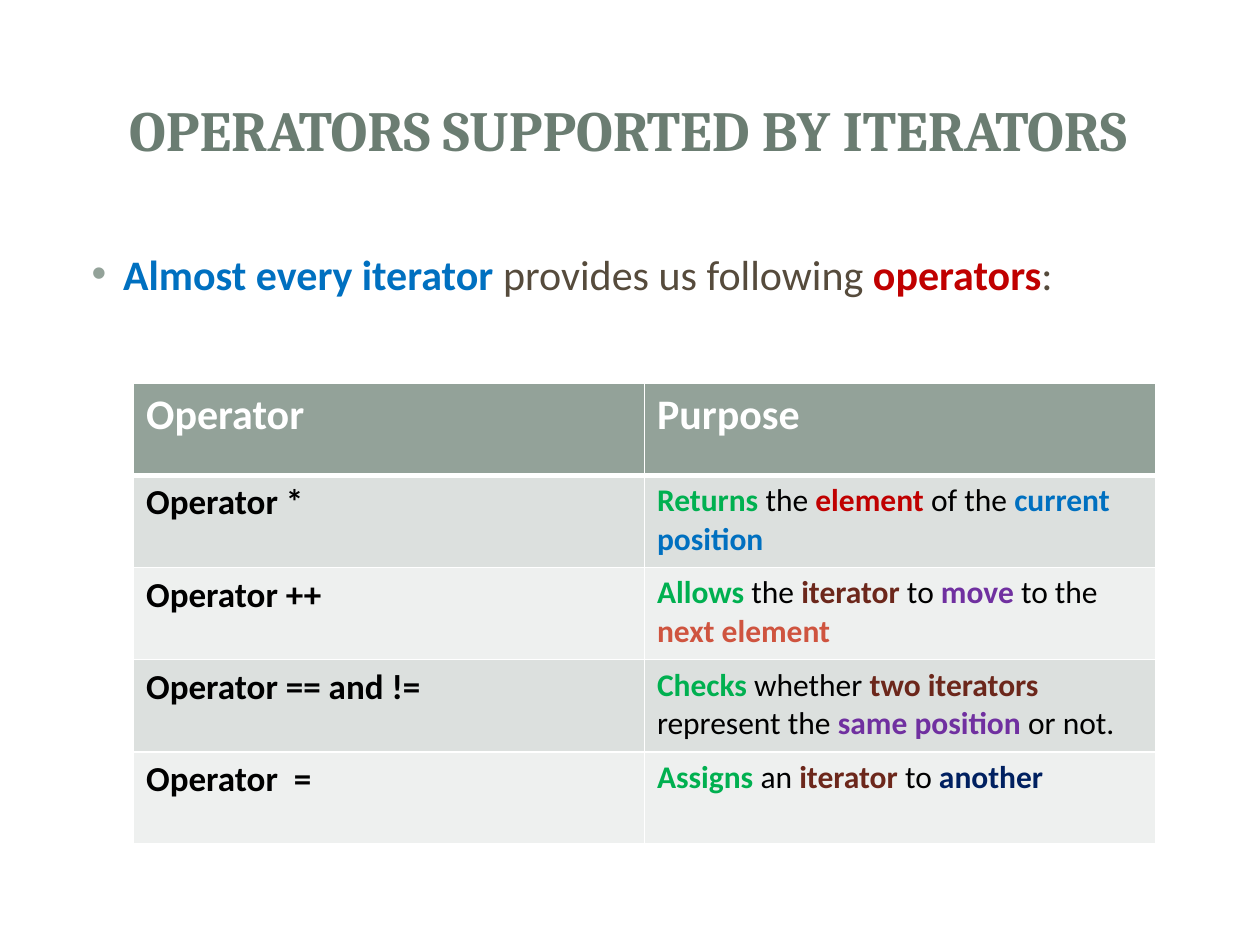
from lxml import etree
from pptx import Presentation
from pptx.dml.color import RGBColor
from pptx.enum.shapes import MSO_SHAPE
from pptx.enum.text import MSO_ANCHOR, PP_ALIGN
from pptx.oxml.ns import qn
from pptx.util import Inches, Pt

CENTER = PP_ALIGN.CENTER
MIDDLE = MSO_ANCHOR.MIDDLE
RECTANGLE = MSO_SHAPE.RECTANGLE
ROUNDED = MSO_SHAPE.ROUNDED_RECTANGLE

COLORS = {
    "title": "6B7D72", "sage": "93A299", "body": "564B3C", "white": "FFFFFF",
    "black": "000000", "blue": "0070C0", "red": "C00000", "green": "00B050",
    "brown": "6C271B", "purple": "7030A0", "coral": "CF543F", "navy": "002060",
    "dark band": "DCE0DE", "light band": "EEF0EF",
}
PLAIN = ("body", "black")

PANELS = [
    (ROUNDED, (0.1, 0.11, 9.8, 7.29), 100),
    (RECTANGLE, (0.3, 0.3, 9.4, 1.45), 83),
    (RECTANGLE, (0.41, 0.41, 9.17, 1.22), 100),
]
TITLE = [("OPERATORS SUPPORTED BY ITERATORS", "title")]
INTRO = [
    ("Almost every iterator ", "blue"), ("provides us following ", "body"),
    ("operators", "red"), (":", "body"),
]
HEADERS = ["Operator", "Purpose"]
OPERATORS = [
    ("Operator *", [
        ("Returns", "green"), (" the ", "black"), ("element", "red"),
        (" of the ", "black"), ("current position", "blue")]),
    ("Operator ++", [
        ("Allows", "green"), (" the ", "black"), ("iterator", "brown"),
        (" to ", "black"), ("move ", "purple"), ("to the ", "black"),
        ("next element", "coral")]),
    ("Operator == and !=", [
        ("Checks", "green"), (" whether ", "black"), ("two iterators ", "brown"),
        ("represent the ", "black"), ("same position ", "purple"),
        ("or not.", "black")]),
    ("Operator  =", [
        ("Assigns", "green"), (" an ", "black"), ("iterator", "brown"),
        (" to ", "black"), ("another", "navy")]),
]
TABLE_BOX = (1.06, 3.04, 8.11, 3.66)


def color(name):
    return RGBColor.from_string(COLORS[name])


def add_panel(slide, kind, box, opacity):
    panel = slide.shapes.add_shape(kind, *map(Inches, box))
    panel.shadow.inherit = False
    panel.fill.solid()
    panel.fill.fore_color.rgb = color("white")
    panel.line.fill.background()
    if kind == ROUNDED:
        panel.adjustments[0] = 0.02
    if opacity < 100:
        fill_color = panel._element.spPr.find(qn("a:solidFill"))[0]
        etree.SubElement(fill_color, qn("a:alpha"), val=str(opacity * 1000))


def add_runs(paragraph, runs, size, font="Calibri", all_bold=False):
    for text, name in runs:
        run = paragraph.add_run()
        run.text = text
        run.font.name = font
        run.font.size = Pt(size)
        run.font.bold = all_bold or name not in PLAIN
        run.font.color.rgb = color(name)


def add_text_box(slide, left, top, width, height):
    box = slide.shapes.add_textbox(*map(Inches, (left, top, width, height)))
    box.text_frame.word_wrap = True
    return box.text_frame


def add_bullet(paragraph):
    properties = paragraph._p.get_or_add_pPr()
    properties.set("marL", str(Inches(0.38)))
    properties.set("indent", str(Inches(-0.25)))
    bullet_color = etree.SubElement(properties, qn("a:buClr"))
    etree.SubElement(bullet_color, qn("a:srgbClr"), val=COLORS["sage"])
    etree.SubElement(properties, qn("a:buFont"), typeface="Arial")
    etree.SubElement(properties, qn("a:buChar"), char="•")


def style_cell(cell, row):
    widths = {"L": 1, "R": 1, "T": 3 if row == 1 else 1, "B": 3 if row == 0 else 1}
    properties = cell._tc.get_or_add_tcPr()
    for side, width in widths.items():
        line = etree.SubElement(properties, qn("a:ln" + side), w=str(Pt(width)))
        fill = etree.SubElement(line, qn("a:solidFill"))
        etree.SubElement(fill, qn("a:srgbClr"), val=COLORS["white"])
    band = "sage" if row == 0 else "dark band" if row % 2 else "light band"
    cell.fill.solid()
    cell.fill.fore_color.rgb = color(band)


def add_operator_table(slide):
    rows = [[([(header, "white")], 24) for header in HEADERS]]
    rows += [[([(operator, "black")], 20), (purpose, 18)]
             for operator, purpose in OPERATORS]
    table = slide.shapes.add_table(
        len(rows), len(HEADERS), *map(Inches, TABLE_BOX)).table
    for row, cells in enumerate(rows):
        for column, (runs, size) in enumerate(cells):
            cell = table.cell(row, column)
            style_cell(cell, row)
            add_runs(cell.text_frame.paragraphs[0], runs, size,
                     all_bold=row == 0 or column == 0)


def main():
    presentation = Presentation()
    presentation.slide_width = Inches(10)
    presentation.slide_height = Inches(7.5)
    slide = presentation.slides.add_slide(presentation.slide_layouts[6])

    for kind, box, opacity in PANELS:
        add_panel(slide, kind, box, opacity)

    title_frame = add_text_box(slide, 0.47, 0.45, 9.03, 1.14)
    title_frame.vertical_anchor = MIDDLE
    title = title_frame.paragraphs[0]
    title.alignment = CENTER
    add_runs(title, TITLE, 32.4, "Cambria")

    intro = add_text_box(slide, 0.5, 1.92, 9, 4.78).paragraphs[0]
    add_bullet(intro)
    add_runs(intro, INTRO, 24)

    add_operator_table(slide)
    presentation.save("out.pptx")


if __name__ == "__main__":
    main()
